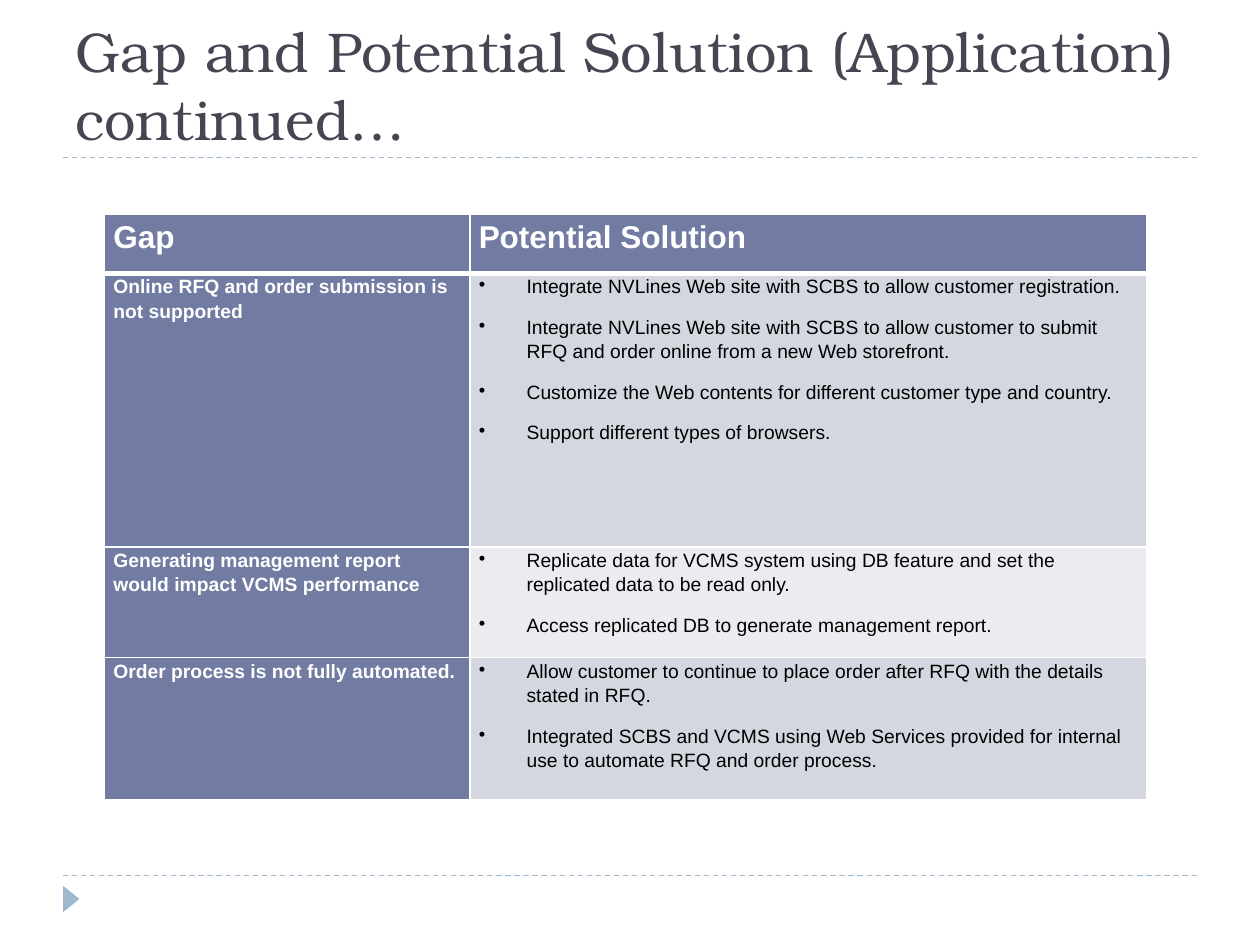
from dataclasses import dataclass

from lxml import etree
from pptx import Presentation
from pptx.dml.color import RGBColor
from pptx.enum.dml import MSO_LINE
from pptx.enum.shapes import MSO_CONNECTOR, MSO_SHAPE
from pptx.enum.text import MSO_ANCHOR
from pptx.oxml.ns import qn
from pptx.util import Inches, Pt

STRAIGHT = MSO_CONNECTOR.STRAIGHT
TRIANGLE = MSO_SHAPE.ISOSCELES_TRIANGLE
DASH = MSO_LINE.DASH
BOTTOM = MSO_ANCHOR.BOTTOM


@dataclass(frozen=True)
class Theme:
    title_font: str = "TeX Gyre Bonum"
    body_font: str = "Arial"
    title_size: int = 32
    header_size: int = 18
    body_size: int = 11
    title_color: str = "464653"
    accent: str = "9FB8CD"
    header_fill: str = "727CA3"
    band_fills: tuple = ("D5D7E0", "EBECF0")
    white: str = "FFFFFF"
    black: str = "000000"


THEME = Theme()

# Slide grid, in inches
WIDTH, HEIGHT = 10, 7.5
MARGIN = 0.5
CONTENT_WIDTH = WIDTH - 2 * MARGIN
TITLE_TOP, TITLE_RULE, FOOTER_RULE = 0.17, 1.25, 6.95
TABLE_LEFT, TABLE_TOP = 0.83, 1.7
COLUMN_WIDTHS = (2.9, 5.37)
ROW_HEIGHTS = (0.47, 2.17, 0.88, 1.13)
BULLET_INDENT = 0.38

TITLE = "Gap and Potential Solution (Application)\ncontinued…"
HEADERS = ("Gap", "Potential Solution")
GAPS = (
    ("Online RFQ and order submission is not supported", (
        "Integrate NVLines Web site with SCBS to allow customer registration.",
        "Integrate NVLines Web site with SCBS to allow customer to submit "
        "RFQ and order online from a new Web storefront.",
        "Customize the Web contents for different customer type and country.",
        "Support different types of browsers.",
    )),
    ("Generating management report would impact VCMS performance", (
        "Replicate data for VCMS system using DB feature and set the "
        "replicated data to be read only.",
        "Access replicated DB to generate management report.",
    )),
    ("Order process is not fully automated.", (
        "Allow customer to continue to place order after RFQ with the "
        "details stated in RFQ.",
        "Integrated SCBS and VCMS using Web Services provided for internal "
        "use to automate RFQ and order process.",
    )),
)


def color(value):
    return RGBColor.from_string(value)


def write_text(paragraph, text, *, font, size, fill, bold=False):
    paragraph.text = text
    for run in paragraph.runs:
        run.font.name = font
        run.font.size = Pt(size)
        run.font.bold = bold
        run.font.color.rgb = color(fill)


def add_title(slide):
    box = slide.shapes.add_textbox(Inches(MARGIN), Inches(TITLE_TOP),
                                   Inches(CONTENT_WIDTH),
                                   Inches(TITLE_RULE - TITLE_TOP))
    frame = box.text_frame
    frame.word_wrap = True
    frame.vertical_anchor = BOTTOM
    write_text(frame.paragraphs[0], TITLE, font=THEME.title_font,
               size=THEME.title_size, fill=THEME.title_color)


def add_rule(slide, top):
    rule = slide.shapes.add_connector(STRAIGHT, Inches(MARGIN), Inches(top),
                                      Inches(WIDTH - MARGIN), Inches(top))
    rule.line.color.rgb = color(THEME.accent)
    rule.line.width = Pt(0.75)
    rule.line.dash_style = DASH
    etree.SubElement(rule._element.spPr, qn("a:effectLst"))


def add_marker(slide):
    marker = slide.shapes.add_shape(TRIANGLE, Inches(0.46), Inches(7.07),
                                    Inches(0.21), Inches(0.13))
    marker.rotation = 90
    marker.shadow.inherit = False
    marker.fill.solid()
    marker.fill.fore_color.rgb = color(THEME.accent)
    marker.line.fill.background()


def set_borders(cell, top=1, bottom=1):
    properties = cell._tc.get_or_add_tcPr()
    for side, points in (("L", 1), ("R", 1), ("T", top), ("B", bottom)):
        line = etree.SubElement(properties, qn(f"a:ln{side}"), w=str(Pt(points)))
        fill = etree.SubElement(line, qn("a:solidFill"))
        etree.SubElement(fill, qn("a:srgbClr"), val=THEME.white)


def add_bullet(paragraph):
    properties = paragraph._p.get_or_add_pPr()
    properties.set("marL", str(Inches(BULLET_INDENT)))
    properties.set("indent", str(-Inches(BULLET_INDENT)))
    etree.SubElement(properties, qn("a:buChar"), char="•")


def fill_cell(cell, texts, *, fill, size, text_color, bold=False,
              bullets=False, top=1, bottom=1):
    set_borders(cell, top, bottom)
    cell.fill.solid()
    cell.fill.fore_color.rgb = color(fill)
    cell.margin_left = cell.margin_right = Inches(0.07)
    cell.margin_top = cell.margin_bottom = 0
    frame = cell.text_frame
    for index, text in enumerate(texts):
        paragraph = frame.add_paragraph() if index else frame.paragraphs[0]
        write_text(paragraph, text, font=THEME.body_font, size=size,
                   fill=text_color, bold=bold)
        paragraph.line_spacing = 1.15
        paragraph.space_before = Pt(6)
        paragraph.space_after = Pt(3)
        if bullets:
            add_bullet(paragraph)


def add_gap_table(slide):
    table = slide.shapes.add_table(
        len(ROW_HEIGHTS), len(COLUMN_WIDTHS), Inches(TABLE_LEFT),
        Inches(TABLE_TOP), Inches(sum(COLUMN_WIDTHS)),
        Inches(sum(ROW_HEIGHTS))).table
    for column, width in zip(table.columns, COLUMN_WIDTHS):
        column.width = Inches(width)
    for row, height in zip(table.rows, ROW_HEIGHTS):
        row.height = Inches(height)

    # Header row
    for index, header in enumerate(HEADERS):
        fill_cell(table.cell(0, index), [header], fill=THEME.header_fill,
                  size=THEME.header_size, text_color=THEME.white, bold=True,
                  bottom=3)

    # One row per gap, with alternating bands
    for row, (gap, solutions) in enumerate(GAPS, start=1):
        top = 3 if row == 1 else 1
        fill_cell(table.cell(row, 0), [gap], fill=THEME.header_fill,
                  size=THEME.body_size, text_color=THEME.white, bold=True,
                  top=top)
        fill_cell(table.cell(row, 1), solutions,
                  fill=THEME.band_fills[(row - 1) % 2], size=THEME.body_size,
                  text_color=THEME.black, bullets=True, top=top)


def main():
    presentation = Presentation()
    presentation.slide_width = Inches(WIDTH)
    presentation.slide_height = Inches(HEIGHT)
    slide = presentation.slides.add_slide(presentation.slide_layouts[6])
    for top in (FOOTER_RULE, TITLE_RULE):
        add_rule(slide, top)
    add_marker(slide)
    add_title(slide)
    add_gap_table(slide)
    presentation.save("out.pptx")


if __name__ == "__main__":
    main()
